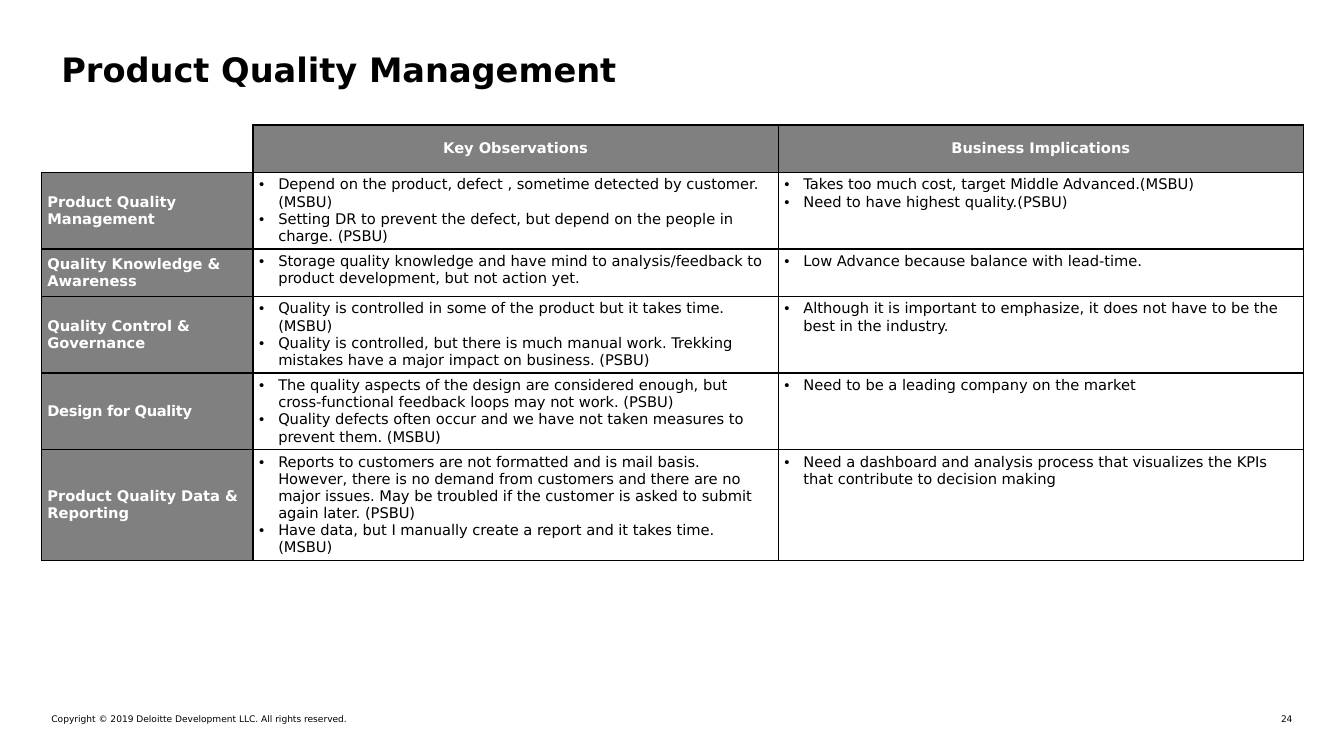
"""Build the Product Quality Management slide: a title, an assessment table and a footer."""
from dataclasses import dataclass

from pptx import Presentation
from pptx.dml.color import RGBColor
from pptx.enum.text import MSO_ANCHOR as Anchor, PP_ALIGN as Align
from pptx.oxml.ns import qn
from pptx.oxml.xmlchemy import OxmlElement as Element
from pptx.util import Inches, Length, Pt

BLACK = RGBColor(0x00, 0x00, 0x00)
WHITE = RGBColor(0xFF, 0xFF, 0xFF)
GRAY = RGBColor(0x80, 0x80, 0x80)
FONT = "DejaVu Sans"
TABLE_SIZE = 10.5
BULLET_INDENT = Inches(0.19)
SLIDE_W, SLIDE_H = Inches(13.33), Inches(7.5)
TABLE_LEFT, TABLE_TOP = 3.08, 16.53
COLUMN_SHARES = (15.75, 39.08, 39.08)
ROW_SHARE = 6.27


@dataclass(frozen=True)
class Label:
    """A text box, placed in percent of the slide's width and height."""
    text: str
    left: float
    top: float
    width: float
    height: float
    size: float
    bold: bool = False
    align: Align = Align.LEFT
    inset: tuple[float, float] = (0, 0)


@dataclass(frozen=True)
class Topic:
    """A table row with its bulleted findings."""
    name: str
    observations: tuple[str, ...]
    implications: tuple[str, ...]
    spacing: float = 0


LABELS = (
    Label("Copyright © 2019 Deloitte Development LLC. All rights reserved.",
          3.83, 94.4, 43.96, 1.47, 6.5),
    Label("24", 93.62, 94.4, 2.55, 1.47, 6.5, align=Align.RIGHT),
    Label("Product Quality Management", 3.83, 5.87, 92.35, 4.93, 24,
          bold=True, inset=(0.1, 0.05)),
)

HEADINGS = ("Key Observations", "Business Implications")

TOPICS = (
    Topic("Product Quality Management",
          ("Depend on the product, defect , sometime detected by customer. (MSBU)",
           "Setting DR to prevent the defect, but depend on the people in charge. (PSBU)"),
          ("Takes too much cost, target Middle Advanced.(MSBU)",
           "Need to have highest quality.(PSBU)")),
    Topic("Quality Knowledge & Awareness",
          ("Storage quality knowledge and have mind to analysis/feedback to product "
           "development, but not action yet.",),
          ("Low Advance because balance with lead-time.",)),
    Topic("Quality Control & Governance",
          ("Quality is controlled in some of the product but it takes time. (MSBU)",
           "Quality is controlled, but there is much manual work. Trekking mistakes "
           "have a major impact on business. (PSBU)"),
          ("Although it is important to emphasize, it does not have to be the best "
           "in the industry.",)),
    Topic("Design for Quality",
          ("The quality aspects of the design are considered enough, but "
           "cross-functional feedback loops may not work. (PSBU)",
           "Quality defects often occur and we have not taken measures to prevent "
           "them. (MSBU)"),
          ("Need to be a leading company on the market",),
          spacing=-0.2),
    Topic("Product Quality Data & Reporting",
          ("Reports to customers are not formatted and is mail basis. However, there "
           "is no demand from customers and there are no major issues. May be troubled "
           "if the customer is asked to submit again later. (PSBU)",
           "Have data, but I manually create a report and it takes time. (MSBU)"),
          ("Need a dashboard and analysis process that visualizes the KPIs that "
           "contribute to decision making",)),
)


def across(percent: float) -> Length:
    return Length(round(SLIDE_W * percent / 100))


def down(percent: float) -> Length:
    return Length(round(SLIDE_H * percent / 100))


def add_run(p, text: str, size: float, color: RGBColor, bold: bool = False,
            spacing: float = 0) -> None:
    r = p.add_run()
    r.text = text
    r.font.name, r.font.size, r.font.bold = FONT, Pt(size), bold
    r.font.color.rgb = color
    if spacing:
        r.font._element.set("spc", str(round(spacing * 100)))


def add_label(slide, label: Label) -> None:
    sp = slide.shapes.add_textbox(across(label.left), down(label.top),
                                  across(label.width), down(label.height))
    tf = sp.text_frame
    tf.word_wrap = True
    tf.margin_left = tf.margin_right = Inches(label.inset[0])
    tf.margin_top = tf.margin_bottom = Inches(label.inset[1])
    p = tf.paragraphs[0]
    p.alignment = label.align
    add_run(p, label.text, label.size, BLACK, label.bold)


def set_borders(cell, hidden: str = "") -> None:
    tc_pr = cell._tc.get_or_add_tcPr()
    for side in "LRTB":
        ln = Element(f"a:ln{side}")
        ln.set("w", str(Pt(1)))
        if side in hidden:
            ln.append(Element("a:noFill"))
        else:
            fill, color = Element("a:solidFill"), Element("a:srgbClr")
            color.set("val", str(BLACK))
            fill.append(color)
            ln.append(fill)
        tc_pr.append(ln)


def style_cell(cell, fill: RGBColor, anchor: Anchor) -> None:
    cell.margin_left = cell.margin_right = Inches(0.06)
    cell.margin_top = cell.margin_bottom = Inches(0.04)
    cell.vertical_anchor = anchor
    set_borders(cell)
    cell.fill.solid()
    cell.fill.fore_color.rgb = fill


def fill_heading(cell, text: str, spacing: float = 0):
    style_cell(cell, GRAY, Anchor.MIDDLE)
    p = cell.text_frame.paragraphs[0]
    add_run(p, text, TABLE_SIZE, WHITE, True, spacing)
    return p


def fill_bullets(cell, items: tuple[str, ...]) -> None:
    style_cell(cell, WHITE, Anchor.TOP)
    tf = cell.text_frame
    for i, item in enumerate(items):
        p = tf.add_paragraph() if i else tf.paragraphs[0]
        p_pr = p._p.get_or_add_pPr()
        p_pr.set("marL", str(BULLET_INDENT))
        p_pr.set("indent", str(-BULLET_INDENT))
        font, bullet = Element("a:buFont"), Element("a:buChar")
        font.set("typeface", "Arial")
        bullet.set("char", "•")
        p_pr.extend((font, bullet))
        add_run(p, item, TABLE_SIZE, BLACK)


def add_topic_table(slide) -> None:
    rows = len(TOPICS) + 1
    table = slide.shapes.add_table(
        rows, len(COLUMN_SHARES), across(TABLE_LEFT), down(TABLE_TOP),
        across(sum(COLUMN_SHARES)), down(ROW_SHARE * rows)).table
    table.first_row = table.horz_banding = False
    for column, share in zip(table.columns, COLUMN_SHARES):
        column.width = across(share)
    for row in table.rows:
        row.height = down(ROW_SHARE)
    corner = table.cell(0, 0)
    set_borders(corner, hidden="LT")
    corner.fill.background()
    for c, heading in enumerate(HEADINGS, 1):
        p = fill_heading(table.cell(0, c), heading)
        p.alignment, p.line_spacing = Align.CENTER, 0.9
    for r, topic in enumerate(TOPICS, 1):
        fill_heading(table.cell(r, 0), topic.name, topic.spacing)
        fill_bullets(table.cell(r, 1), topic.observations)
        fill_bullets(table.cell(r, 2), topic.implications)


def main() -> None:
    prs = Presentation()
    prs.slide_width, prs.slide_height = SLIDE_W, SLIDE_H
    slide = prs.slides.add_slide(prs.slide_layouts[6])
    add_topic_table(slide)
    for label in LABELS:
        add_label(slide, label)
    prs.save("out.pptx")


if __name__ == "__main__":
    main()
